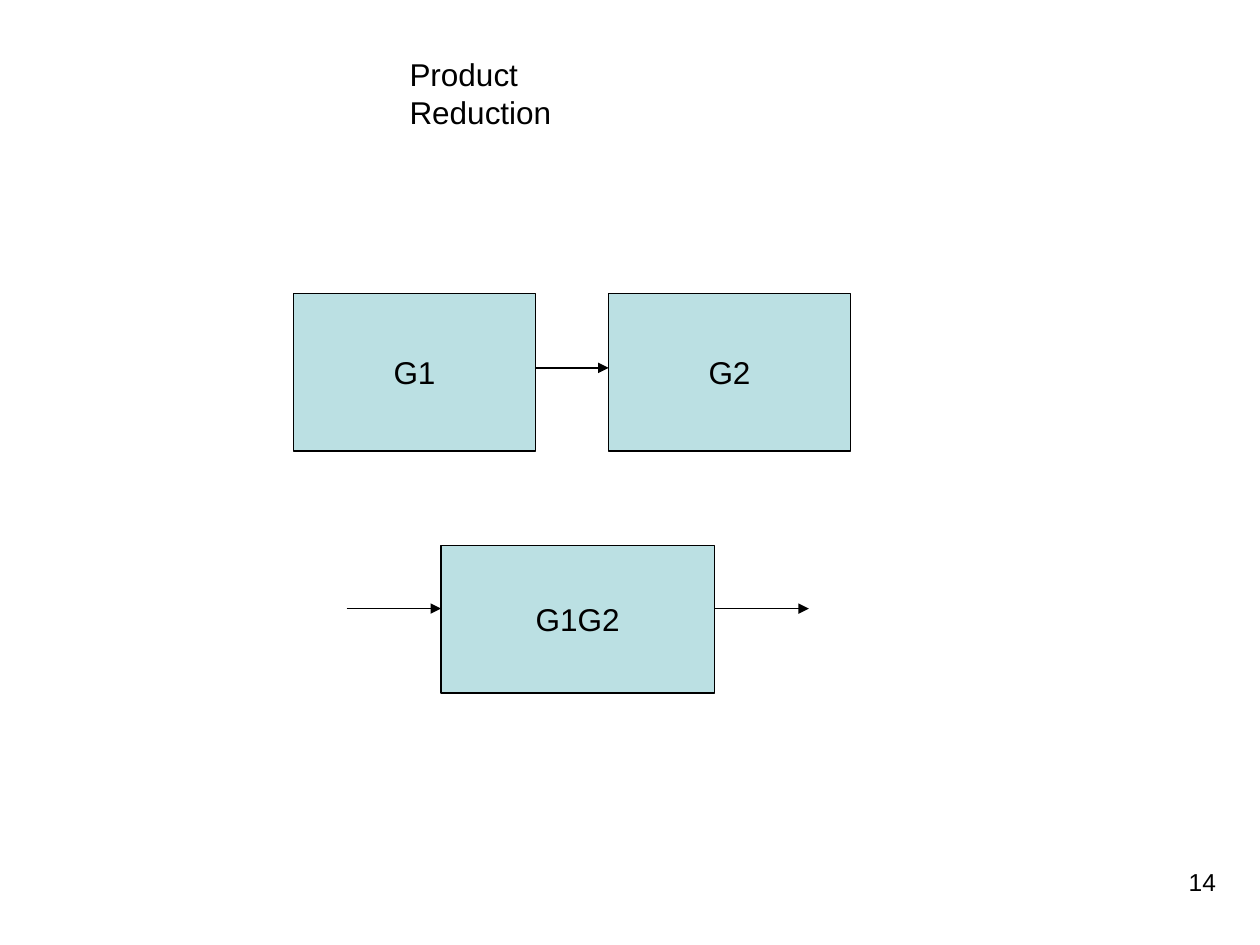
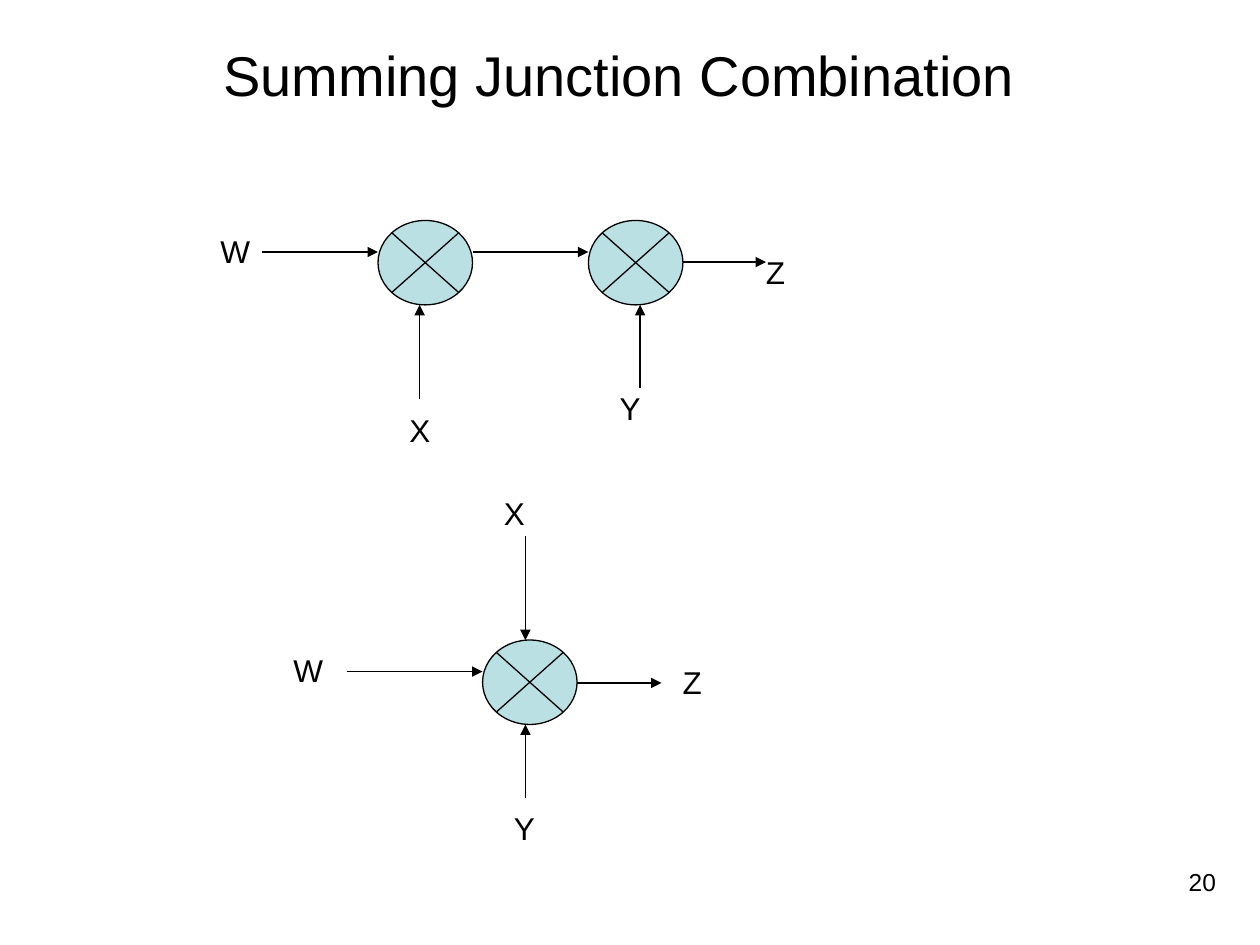
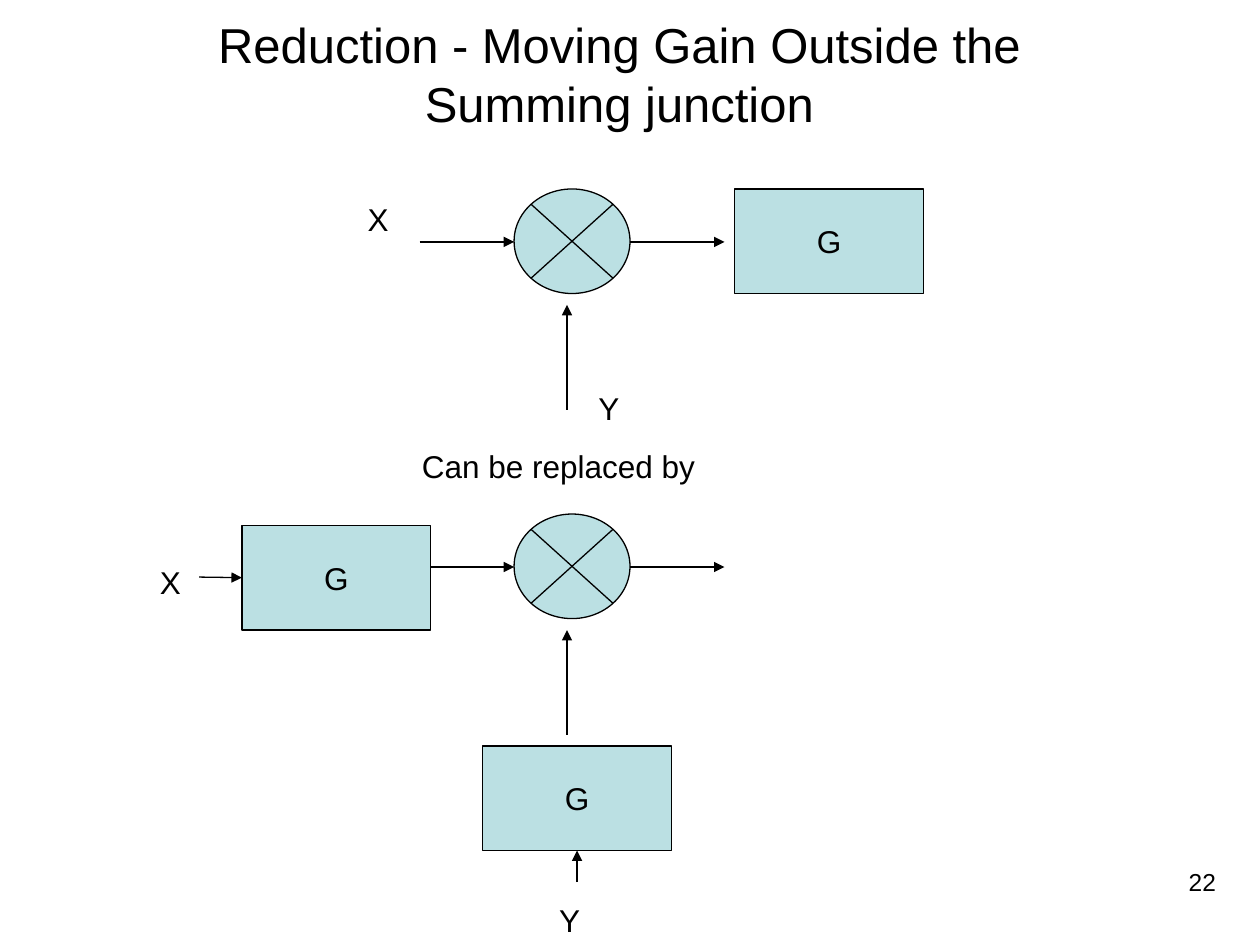
from lxml import etree
from pptx import Presentation
from pptx import util as u
from pptx.dml.color import RGBColor
from pptx.enum import shapes, text
from pptx.oxml import ns

COLORS = {"ink": "000000", "block": "BBE0E3"}
FONT = "Arial"
LINE_WIDTH = u.Pt(0.75)
TITLE_BOX = (1.25, 0.17, 7.33, 0.83)
NUMBER_BOX = (7.42, 6.83, 2.33, 0.52)
LABEL_HEIGHT = 0.4
LABEL_WIDTHS = {"W": 0.43, "X": 0.36, "Y": 0.36, "Z": 0.35}
LABEL_WIDTH_OTHER = 2.44
GAIN_SIZE = (1.5, 0.83)
TOP, LEFT, BOTTOM, RIGHT = 0, 1, 2, 3


def color(name):
    return RGBColor.from_string(COLORS[name])


def inches(values):
    return [u.Inches(value) for value in values]


def write(shape, wording, size=18, align=text.PP_ALIGN.LEFT,
          anchor=text.MSO_ANCHOR.TOP, wrap=False):
    frame = shape.text_frame
    frame.text = wording
    frame.word_wrap = wrap
    frame.auto_size = text.MSO_AUTO_SIZE.NONE
    frame.vertical_anchor = anchor
    paragraph = frame.paragraphs[0]
    paragraph.alignment = align
    paragraph.font.name = FONT
    paragraph.font.size = u.Pt(size)
    paragraph.font.color.rgb = color("ink")


def add_slide(deck, title, number, size, box=TITLE_BOX,
              align=text.PP_ALIGN.CENTER, wrap=True):
    slide = deck.slides.add_slide(deck.slide_layouts[5])
    heading = slide.shapes.title
    heading.left, heading.top, heading.width, heading.height = inches(box)
    write(heading, title, size=size, align=align,
          anchor=text.MSO_ANCHOR.MIDDLE, wrap=wrap)
    page = slide.shapes.add_textbox(*inches(NUMBER_BOX))
    write(page, str(number), size=14, align=text.PP_ALIGN.RIGHT, wrap=True)
    return slide


def add_outlined(slide, preset, left, top, width, height):
    part = slide.shapes.add_shape(preset, *inches((left, top, width, height)))
    part.shadow.inherit = False
    part.fill.solid()
    part.fill.fore_color.rgb = color("block")
    part.line.color.rgb = color("ink")
    part.line.width = LINE_WIDTH
    return part


def add_block(slide, wording, left, top, width, height):
    block = add_outlined(slide, shapes.MSO_SHAPE.RECTANGLE,
                         left, top, width, height)
    write(block, wording, align=text.PP_ALIGN.CENTER,
          anchor=text.MSO_ANCHOR.MIDDLE)
    return block


def add_junction(slide, left, top, width, height):
    add_outlined(slide, shapes.MSO_SHAPE.FLOWCHART_SUMMING_JUNCTION,
                 left, top, width, height)


def add_label(slide, wording, left, top):
    width = LABEL_WIDTHS.get(wording, LABEL_WIDTH_OTHER)
    label = slide.shapes.add_textbox(
        *inches((left, top, width, LABEL_HEIGHT)))
    write(label, wording)


def add_arrow(slide, x1, y1, x2, y2, target=None, side=LEFT):
    arrow = slide.shapes.add_connector(
        shapes.MSO_CONNECTOR.STRAIGHT, *inches((x1, y1, x2, y2)))
    if target is not None:
        arrow.end_connect(target, side)
    arrow.line.color.rgb = color("ink")
    arrow.line.width = LINE_WIDTH
    etree.SubElement(arrow.line._get_or_add_ln(), ns.qn("a:tailEnd"),
                     type="triangle")
    etree.SubElement(arrow._element.spPr, ns.qn("a:effectLst"))


def build_product(deck):
    slide = add_slide(deck, "Product Reduction", 14, size=18,
                      box=(3.15, 0.54, 2.25, 0.4),
                      align=text.PP_ALIGN.LEFT, wrap=False)
    for index, gain in enumerate(("G1", "G2")):
        add_block(slide, gain, 2.33 + 2.5 * index, 2.33, 1.92, 1.25)
    add_arrow(slide, 4.25, 2.92, 4.83, 2.92)
    add_block(slide, "G1G2", 3.5, 4.33, 2.17, 1.17)
    for start in (2.75, 5.67):
        add_arrow(slide, start, 4.83, start + 0.75, 4.83)


def build_combination(deck):
    slide = add_slide(deck, "Summing Junction Combination", 20, size=32)
    for left, top in ((3, 1.75), (4.67, 1.75), (3.83, 5.08)):
        add_junction(slide, left, top, 0.75, 0.67)
    signals = (
        (2.08, 2, 3, 2),
        (3.75, 2, 4.67, 2),
        (3.33, 3.17, 3.33, 2.42),
        (5.08, 3.08, 5.08, 2.42),
        (5.42, 2.08, 6.08, 2.08),
        (2.75, 5.33, 3.83, 5.33),
        (4.17, 4.25, 4.17, 5.08),
        (4.17, 6.33, 4.17, 5.75),
        (4.58, 5.42, 5.25, 5.42),
    )
    for signal in signals:
        add_arrow(slide, *signal)
    labels = (
        ("W", 1.65, 1.79), ("X", 3.15, 3.21),
        ("Y", 4.82, 3.04), ("Z", 5.98, 1.96),
        ("W", 2.23, 5.12), ("X", 3.9, 3.87),
        ("Y", 3.98, 6.37), ("Z", 5.32, 5.21),
    )
    for label in labels:
        add_label(slide, *label)


def build_moving_gain(deck):
    slide = add_slide(
        deck, "Reduction - Moving Gain Outside the Summing junction", 22,
        size=28)
    for top in (1.5, 4.08):
        middle = top + 0.42
        add_junction(slide, 4.08, top, 0.92, 0.83)
        add_arrow(slide, 3.33, middle, 4.08, middle)
        add_arrow(slide, 5, middle, 5.75, middle)
        add_arrow(slide, 4.5, top + 1.75, 4.5, top + 0.92)
    add_block(slide, "G", 5.83, 1.5, *GAIN_SIZE)
    x_gain = add_block(slide, "G", 1.92, 4.17, *GAIN_SIZE)
    y_gain = add_block(slide, "G", 3.83, 5.92, *GAIN_SIZE)
    add_arrow(slide, 1.58, 4.58, 1.92, 4.58, target=x_gain, side=LEFT)
    add_arrow(slide, 4.58, 7, 4.58, 6.75, target=y_gain, side=BOTTOM)
    labels = (
        ("X", 2.82, 1.54), ("Y", 4.65, 3.04),
        ("Can be replaced by", 3.25, 3.5),
        ("X", 1.17, 4.42), ("Y", 4.34, 7.1),
    )
    for label in labels:
        add_label(slide, *label)


def main():
    deck = Presentation()
    deck.slide_width, deck.slide_height = inches((10, 7.5))
    build_product(deck)
    build_combination(deck)
    build_moving_gain(deck)
    deck.save("out.pptx")


if __name__ == "__main__":
    main()
